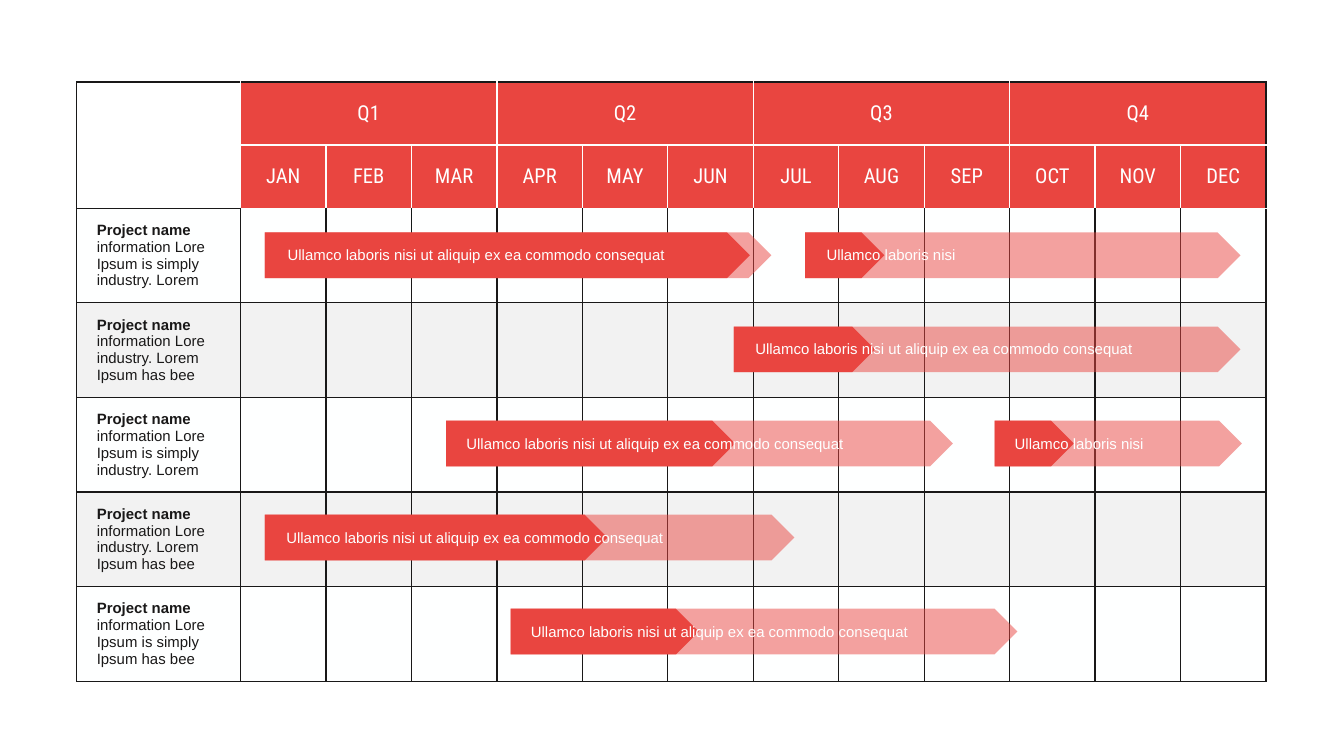
from dataclasses import dataclass

from lxml import etree
from pptx import Presentation
from pptx import util as u
from pptx.dml.color import RGBColor
from pptx.enum import shapes, text
from pptx.oxml.ns import qn


@dataclass(frozen=True)
class Theme:
    red: str = "E94540"
    white: str = "FEFFFF"
    dark: str = "191818"
    gray: str = "E7E7E7"
    head_font: str = "Roboto Condensed"
    body_font: str = "Arial"
    head_size: int = 11
    body_size: int = 8
    line: float = 0.75


THEME = Theme()
MONTHS = "JAN FEB MAR APR MAY JUN JUL AUG SEP OCT NOV DEC".split()
TITLE = "Project name "
SIMPLE = "information Lore Ipsum is simply industry. Lorem"
TRADE = "information Lore industry. Lorem Ipsum has bee"
MIXED = "information Lore Ipsum is simply Ipsum has bee"
# Row note, fill colour, fill opacity in percent
ROWS = [
    (SIMPLE, THEME.white, 100),
    (TRADE, THEME.gray, 50),
    (SIMPLE, THEME.white, 100),
    (TRADE, THEME.gray, 50),
    (MIXED, THEME.white, 50),
]
LONG = ("Ullamco laboris nisi ut aliquip ex ea commodo consequat", 3.11)
SHORT = ("Ullamco laboris nisi", 1.43)
# Row, left, full width, done width, label left, label with its width
BARS = [
    (1, 5.46, 3.77, 1.05, 5.58, LONG),
    (0, 1.97, 3.77, 3.61, 2.1, LONG),
    (3, 1.97, 3.94, 2.55, 2.09, LONG),
    (4, 3.8, 3.77, 1.4, 3.91, LONG),
    (2, 3.32, 3.77, 2.15, 3.43, LONG),
    (2, 7.4, 1.84, 0.59, 7.51, SHORT),
    (0, 5.99, 3.24, 0.59, 6.11, SHORT),
]


def set_fill(fill, color, alpha=100):
    fill.solid()
    fill.fore_color.rgb = RGBColor.from_string(color)
    if alpha < 100:
        tint = fill._xPr.find(qn("a:solidFill"))[0]
        etree.SubElement(tint, qn("a:alpha"), val=str(alpha * 1000))


def add_run(para, words, font, size, color, bold=False):
    run = para.add_run()
    run.text = words
    run.font.name = font
    run.font.size = u.Pt(size)
    run.font.bold = bold
    run.font.color.rgb = RGBColor.from_string(color)


def set_pad(frame, left=0.04):
    frame.margin_left = u.Inches(left)
    frame.margin_right = u.Inches(0.04)
    frame.margin_top = frame.margin_bottom = u.Inches(0.02)


def set_edges(cell, left, right, top, bottom):
    """Draw the four cell borders; they must come before the cell fill."""
    props = cell._tc.get_or_add_tcPr()
    for i, (side, color) in enumerate(zip("LRTB", (left, right, top, bottom))):
        line = etree.Element(qn(f"a:ln{side}"), w=str(u.Pt(THEME.line)))
        fill = etree.SubElement(line, qn("a:solidFill"))
        etree.SubElement(fill, qn("a:srgbClr"), val=color)
        props.insert(i, line)


def fill_head(cell, words):
    set_fill(cell.fill, THEME.red)
    set_pad(cell)
    cell.vertical_anchor = text.MSO_ANCHOR.MIDDLE
    para = cell.text_frame.paragraphs[0]
    para.alignment = text.PP_ALIGN.CENTER
    add_run(para, words, THEME.head_font, THEME.head_size, THEME.white)


def fill_name(cell, note):
    set_pad(cell, 0.15)
    cell.vertical_anchor = text.MSO_ANCHOR.MIDDLE
    para = cell.text_frame.paragraphs[0]
    for words, bold in ((TITLE, True), (note, False)):
        add_run(para, words, THEME.body_font, THEME.body_size, THEME.dark, bold)


def draw_edges(grid):
    """White lines inside the header, dark lines everywhere else."""
    white, dark = THEME.white, THEME.dark
    for r in range(len(grid.rows)):
        for c in range(len(grid.columns)):
            head = r < 2 and c > 0
            last = c == 12 or (r == 0 and c >= 10)
            left = white if head else dark
            right = white if r < 2 and not last else dark
            top = white if c > 0 and r in (1, 2) else dark
            bottom = white if head else dark
            set_edges(grid.cell(r, c), left, right, top, bottom)


def add_grid(slide):
    grid = slide.shapes.add_table(
        7, 13, u.Inches(0.57), u.Inches(0.61), u.Inches(8.85), u.Inches(4.46)
    ).table
    grid.first_row = grid.horz_banding = False
    for c, col in enumerate(grid.columns):
        col.width = u.Inches(7.63 / 12 if c else 1.22)
    for r, row in enumerate(grid.rows):
        row.height = u.Inches(0.47 if r < 2 else 3.52 / 5)

    grid.cell(0, 0).merge(grid.cell(1, 0))
    grid.cell(0, 0).fill.background()
    for q in range(4):
        first = 1 + 3 * q
        grid.cell(0, first).merge(grid.cell(0, first + 2))
        fill_head(grid.cell(0, first), f"Q{q + 1}")
    for c, month in enumerate(MONTHS, 1):
        fill_head(grid.cell(1, c), month)
    for r, (note, color, alpha) in enumerate(ROWS, 2):
        for c in range(13):
            set_fill(grid.cell(r, c).fill, color, alpha)
        fill_name(grid.cell(r, 0), note)
    draw_edges(grid)


def add_arrow(group, left, top, width, alpha):
    arrow = group.shapes.add_shape(
        shapes.MSO_SHAPE.PENTAGON,
        u.Inches(left), u.Inches(top), u.Inches(width), u.Inches(0.34),
    )
    arrow.shadow.inherit = False
    set_fill(arrow.fill, THEME.red, alpha)
    arrow.line.fill.background()


def add_bar(slide, row, left, full, done, start, label):
    """Group the planned span, the finished part and the label."""
    group = slide.shapes.add_group_shape()
    top = 1.73 + 0.7 * row
    add_arrow(group, left, top, full, 50)
    add_arrow(group, left, top, done, 100)
    words, width = label
    box = group.shapes.add_textbox(
        u.Inches(start), u.Inches(top + 0.08), u.Inches(width), u.Inches(0.18)
    )
    frame = box.text_frame
    frame.word_wrap = True
    set_pad(frame)
    add_run(frame.paragraphs[0], words, THEME.body_font, THEME.body_size, THEME.white)


def main():
    deck = Presentation()
    deck.slide_width = u.Inches(10)
    deck.slide_height = deck.slide_width * 9 // 16
    slide = deck.slides.add_slide(deck.slide_layouts[6])
    add_grid(slide)
    for bar in BARS:
        add_bar(slide, *bar)
    deck.save("out.pptx")


if __name__ == "__main__":
    main()
